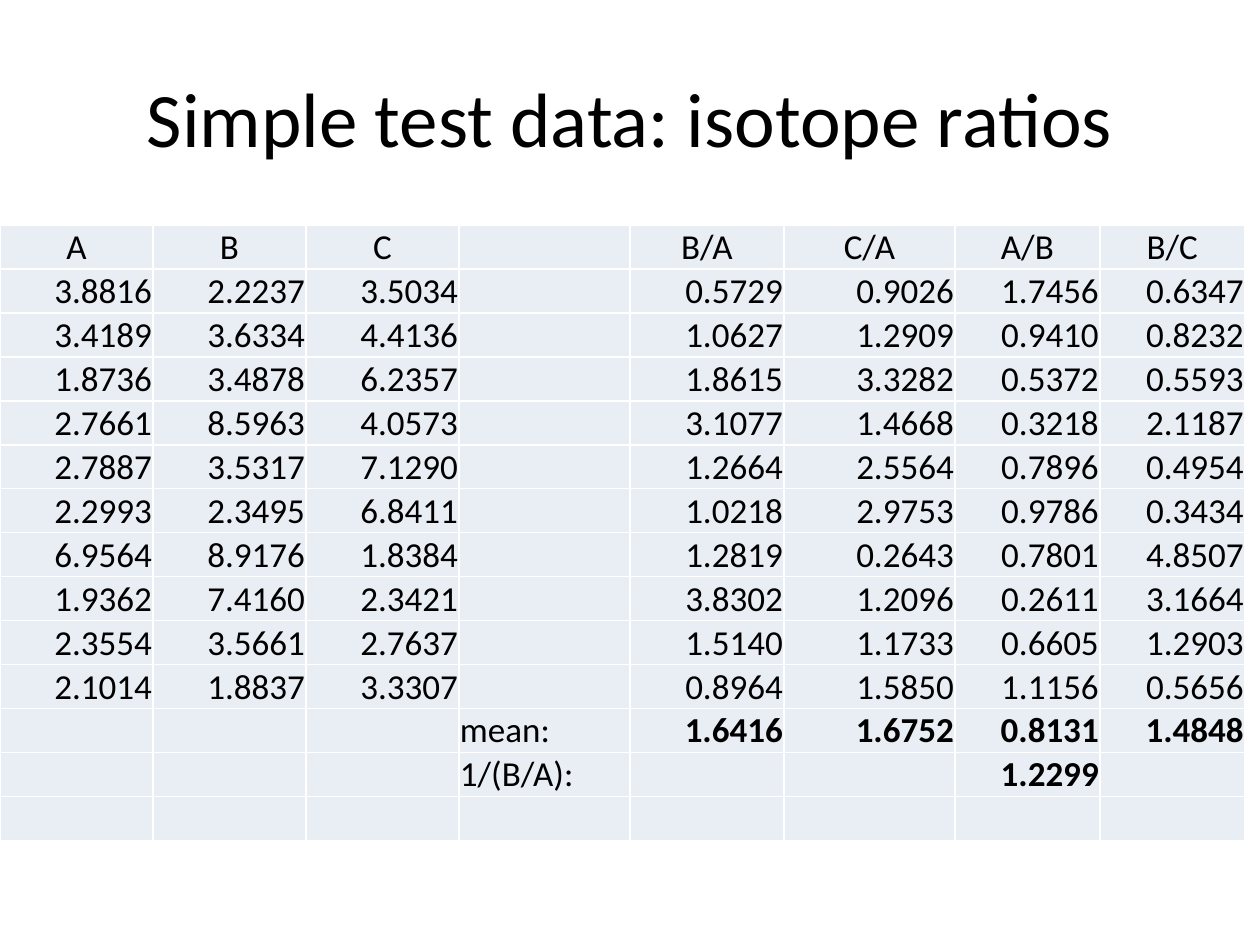
from lxml.etree import SubElement
from pptx import Presentation
from pptx.dml.color import RGBColor
from pptx.enum.text import MSO_ANCHOR as Anchor, PP_ALIGN as Align
from pptx.oxml.ns import qn
from pptx.util import Pt

PX = 914400 // 126  # EMU per px


def color(hex_text):
    return RGBColor.from_string(hex_text)


def style_text(paragraph, size, align, bold=False):
    paragraph.alignment = align
    for run in paragraph.runs:
        run.font.name = "Calibri"
        run.font.size = Pt(size)
        run.font.bold = bold
        run.font.color.rgb = color("000000")


prs = Presentation()
prs.slide_width, prs.slide_height = 1260 * PX, 945 * PX
slide = prs.slides.add_slide(prs.slide_layouts[5])

# Title
title = slide.shapes.title
title.left, title.top, title.width, title.height = 63 * PX, 38 * PX, 1134 * PX, 158 * PX
title.text_frame.text = "Simple test data: isotope ratios"
title.text_frame.vertical_anchor = Anchor.MIDDLE
style_text(title.text_frame.paragraphs[0], 44, Align.CENTER)

# Measurements on the left, ratios on the right, summary below
ratio_rows = [
    ["A", "B", "C", "", "B/A", "C/A", "A/B", "B/C"],
    ["3.8816", "2.2237", "3.5034", "", "0.5729", "0.9026", "1.7456", "0.6347"],
    ["3.4189", "3.6334", "4.4136", "", "1.0627", "1.2909", "0.9410", "0.8232"],
    ["1.8736", "3.4878", "6.2357", "", "1.8615", "3.3282", "0.5372", "0.5593"],
    ["2.7661", "8.5963", "4.0573", "", "3.1077", "1.4668", "0.3218", "2.1187"],
    ["2.7887", "3.5317", "7.1290", "", "1.2664", "2.5564", "0.7896", "0.4954"],
    ["2.2993", "2.3495", "6.8411", "", "1.0218", "2.9753", "0.9786", "0.3434"],
    ["6.9564", "8.9176", "1.8384", "", "1.2819", "0.2643", "0.7801", "4.8507"],
    ["1.9362", "7.4160", "2.3421", "", "3.8302", "1.2096", "0.2611", "3.1664"],
    ["2.3554", "3.5661", "2.7637", "", "1.5140", "1.1733", "0.6605", "1.2903"],
    ["2.1014", "1.8837", "3.3307", "", "0.8964", "1.5850", "1.1156", "0.5656"],
    ["", "", "", "mean:", "1.6416", "1.6752", "0.8131", "1.4848"],
    ["", "", "", "1/(B/A):", "", "", "1.2299", ""],
    [""] * 8,
]
SUMMARY_ROW, LABEL_COLUMN = 11, 3
column_widths = [153, 153, 153, 171, 154, 171, 145, 145]
row_height = 44

ratios = slide.shapes.add_table(
    len(ratio_rows), len(column_widths), 0, 225 * PX,
    sum(column_widths) * PX, len(ratio_rows) * row_height * PX).table
ratios.first_row = ratios.horz_banding = False
for column, width in zip(ratios.columns, column_widths):
    column.width = width * PX
for row in ratios.rows:
    row.height = row_height * PX

# Cells
for r, values in enumerate(ratio_rows):
    for c, value in enumerate(values):
        cell = ratios.cell(r, c)
        cell.margin_left = cell.margin_right = cell.margin_top = 1 * PX
        cell.margin_bottom = 0
        cell.vertical_anchor = Anchor.BOTTOM

        # White borders precede the fill in the cell properties
        for side in ("a:lnL", "a:lnR", "a:lnT", "a:lnB"):
            border = SubElement(cell._tc.get_or_add_tcPr(), qn(side), w=str(Pt(1)))
            SubElement(SubElement(border, qn("a:solidFill")), qn("a:srgbClr"), val="FFFFFF")
        cell.fill.solid()
        cell.fill.fore_color.rgb = color("E9EDF4")

        cell.text_frame.text = value
        is_label = c == LABEL_COLUMN
        align = Align.CENTER if r == 0 else Align.LEFT if is_label else Align.RIGHT
        style_text(cell.text_frame.paragraphs[0], 20, align,
                   bold=r >= SUMMARY_ROW and not is_label)

prs.save("out.pptx")
